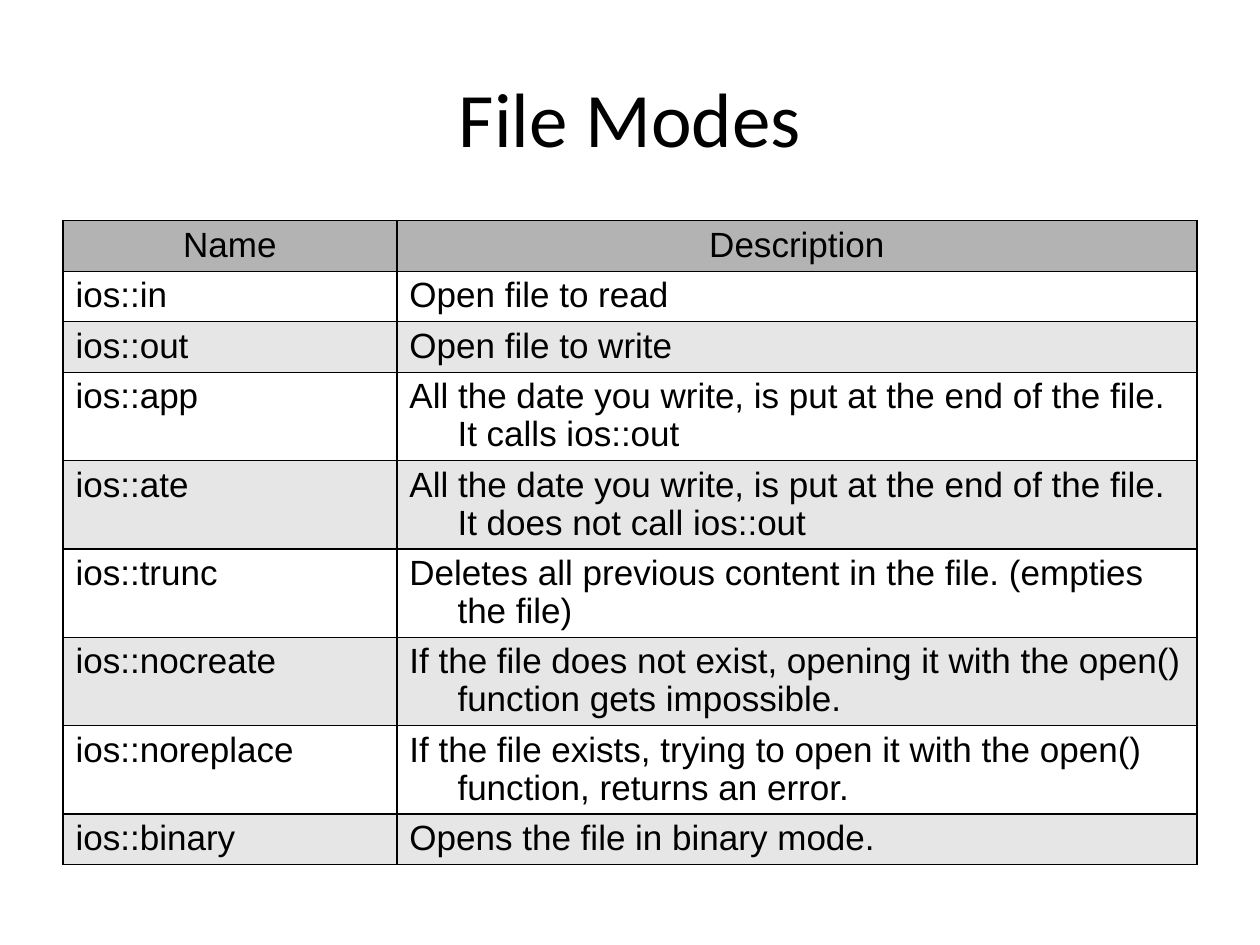
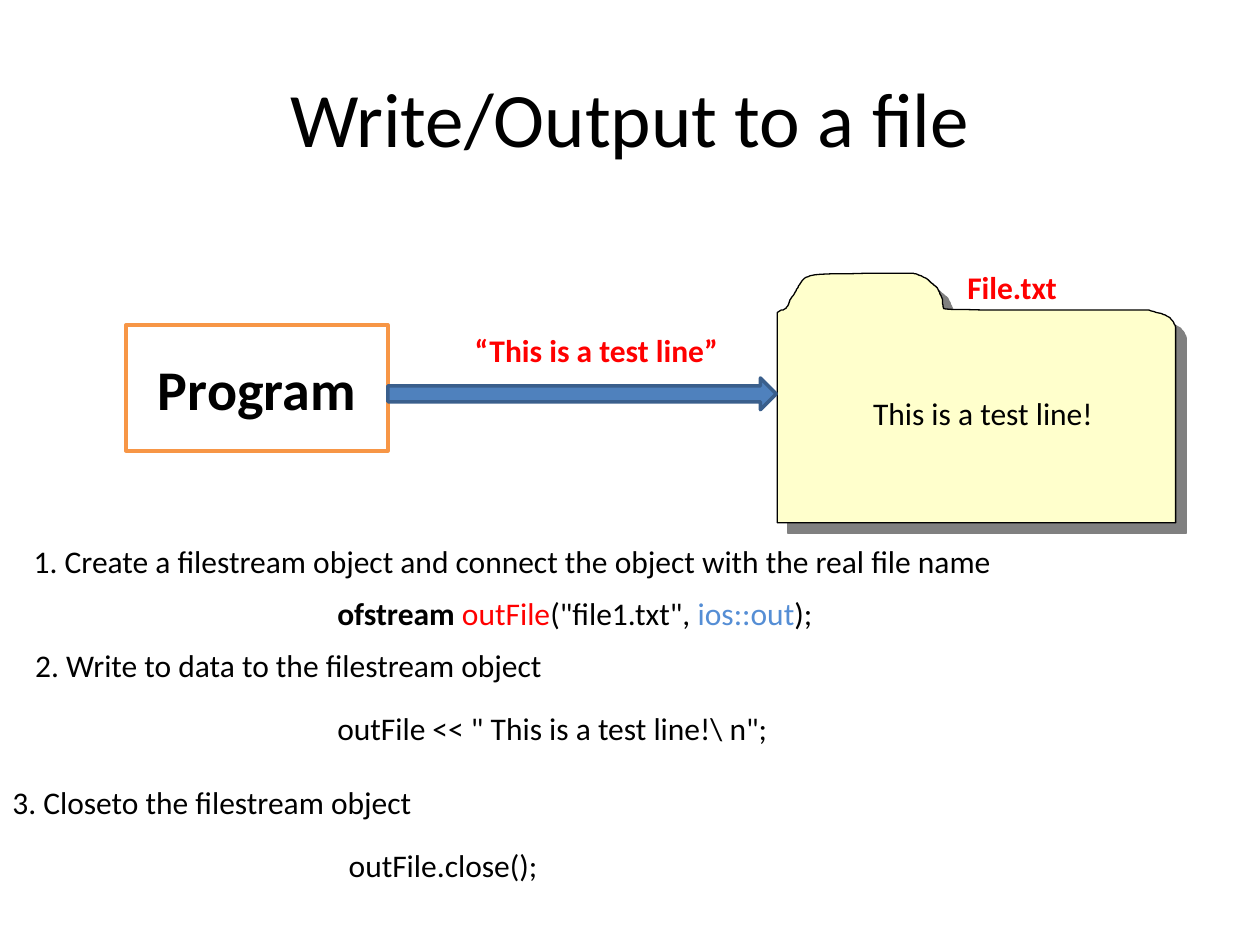
import dataclasses
import itertools

import lxml.etree
import pptx
import pptx.dml.color
import pptx.enum.shapes
import pptx.enum.text
import pptx.oxml.ns
import pptx.util

Cm = pptx.util.Cm
Pt = pptx.util.Pt
Align = pptx.enum.text.PP_ALIGN
Anchor = pptx.enum.text.MSO_ANCHOR
Preset = pptx.enum.shapes.MSO_SHAPE


@dataclasses.dataclass(frozen=True)
class Theme:
    """Colours, fonts and type sizes of the presentation."""
    ink: str = "000000"
    paper: str = "FFFFFF"
    red: str = "FF0000"
    code_blue: str = "558ED5"
    arrow: str = "4F81BD"
    arrow_edge: str = "3A5F8C"
    program_edge: str = "F79646"
    folder: str = "FFFFCC"
    shadow: str = "808080"
    header: str = "B3B3B3"
    band: str = "E6E6E6"
    font: str = "Calibri"
    table_font: str = "Arial"
    title_size: int = 44
    program_size: int = 32
    table_size: int = 20
    text_size: int = 18


@dataclasses.dataclass(frozen=True)
class Box:
    """A rectangle in centimetres."""
    left: float
    top: float
    width: float
    height: float

    def inner(self, left, top, width, height):
        """Return a box placed relative to this one."""
        return Box(self.left + left, self.top + top, width, height)

    def lengths(self):
        """Return left, top, width and height as slide lengths."""
        return [Cm(value) for value in dataclasses.astuple(self)]


THEME = Theme()
TITLE_BOX = Box(1.27, 0.76, 22.86, 3.18)
TABLE_BOX = Box(1.27, 4.45, 22.86, 12.4)
DIAGRAM_BOX = Box(2.54, 5.28, 21.17, 5.26)
STEPS_BOX = Box(0, 10.8, 20.5, 7.16)
LABEL_HEIGHT = 1.02

FILE_MODES = [
    ("Name", "Description"),
    ("ios::in", "Open file to read"),
    ("ios::out", "Open file to write"),
    ("ios::app", "All the date you write, is put at the end of the file. It calls ios::out"),
    ("ios::ate", "All the date you write, is put at the end of the file. It does not call ios::out"),
    ("ios::trunc", "Deletes all previous content in the file. (empties the file)"),
    ("ios::nocreate",
     "If the file does not exist, opening it with the open() function gets impossible."),
    ("ios::noreplace",
     "If the file exists, trying to open it with the open() function, returns an error."),
    ("ios::binary", "Opens the file in binary mode."),
]

STEPS = [
    (0.43, 0, 20.07, [("1. Create a filestream object and connect the object with the real file name",)]),
    (6.55, 1.06, 10.13, [("ofstream ", THEME.ink, True), ("outFile", THEME.red),
                         ('("file1.txt", ',), ("ios::out", THEME.code_blue), (");",)]),
    (0.46, 2.1, 10.85, [("2. Write to data to the filestream object",)]),
    (6.55, 3.37, 9.3, [('outFile << " This is a test line!\\ n";',)]),
    (0, 4.87, 8.66, [("3. Closeto the filestream object",)]),
    (6.78, 6.14, 4.37, [("outFile.close();",)]),
]

FOLDER_TAB = [
    (737, 74), (409, 74), (340, 74), (335, 71), (335, 69), (333, 64), (333, 56),
    (333, 48), (328, 43), (323, 30), (318, 25), (310, 18), (300, 10),
    (287, 3), (274, 0), (274, 0), (274, 0), (84, 0), (76, 3),
    (61, 5), (53, 10), (48, 18), (43, 25), (41, 30), (36, 38),
    (30, 48), (25, 53), (25, 56), (23, 61), (23, 64), (18, 69),
    (18, 71), (13, 74), (8, 74),
]
FOLDER_BODY = [(0, 79), (0, 503), (803, 503)]
FOLDER_CORNER = [(803, 109), (800, 99), (795, 91), (785, 86), (777, 81), (762, 79), (749, 74)]


def rgb(value):
    """Turn a hex string into a colour."""
    return pptx.dml.color.RGBColor.from_string(value)


def add_run(paragraph, text, color=THEME.ink, bold=False, size=THEME.text_size, font=THEME.font):
    """Add one formatted run to a paragraph."""
    run = paragraph.add_run()
    run.text = text
    run.font.name = font
    run.font.size = Pt(size)
    run.font.bold = bold
    run.font.color.rgb = rgb(color)


def paint(shape, fill, line, width):
    """Give a shape a plain fill and outline without a shadow."""
    shape.shadow.inherit = False
    shape.fill.solid()
    shape.fill.fore_color.rgb = rgb(fill)
    shape.line.color.rgb = rgb(line)
    shape.line.width = Pt(width)


def add_child(parent, tag, **attributes):
    """Append a DrawingML element."""
    values = {name: str(value) for name, value in attributes.items()}
    return lxml.etree.SubElement(parent, pptx.oxml.ns.qn(tag), values)


def add_titled_slide(presentation, text):
    """Add a slide with a centred title."""
    slide = presentation.slides.add_slide(presentation.slide_layouts[5])
    title = slide.shapes.title
    title.left, title.top, title.width, title.height = TITLE_BOX.lengths()
    title.text_frame.vertical_anchor = Anchor.MIDDLE
    paragraph = title.text_frame.paragraphs[0]
    paragraph.alignment = Align.CENTER
    add_run(paragraph, text, size=THEME.title_size)
    return slide


def add_label(slide, box, runs):
    """Add one unwrapped line of text made of runs."""
    frame = slide.shapes.add_textbox(*box.lengths()).text_frame
    frame.word_wrap = False
    frame.auto_size = pptx.enum.text.MSO_AUTO_SIZE.SHAPE_TO_FIT_TEXT
    for run in runs:
        add_run(frame.paragraphs[0], *run)


def format_cell(cell, text, fill, alignment):
    """Write a cell with a hanging indent, black borders and a fill."""
    properties = cell._tc.get_or_add_tcPr()
    for side in "LRTB":
        border = add_child(properties, "a:ln" + side, w=Pt(1))
        add_child(add_child(border, "a:solidFill"), "a:srgbClr", val=THEME.ink)
    if fill:
        cell.fill.solid()
        cell.fill.fore_color.rgb = rgb(fill)
    else:
        cell.fill.background()
    paragraph = cell.text_frame.paragraphs[0]
    paragraph.alignment = alignment
    paragraph.line_spacing = 0.97
    indent = Cm(0.97)
    paragraph_properties = paragraph._p.get_or_add_pPr()
    paragraph_properties.set("marL", str(indent))
    paragraph_properties.set("indent", str(-indent))
    add_run(paragraph, text, size=THEME.table_size, font=THEME.table_font)


def add_modes_table(slide, box, rows):
    """Add the banded table of file modes."""
    table = slide.shapes.add_table(len(rows), 2, *box.lengths()).table
    table.first_row = table.horz_banding = False
    name_width = 6.73
    table.columns[0].width = Cm(name_width)
    table.columns[1].width = Cm(box.width - name_width)
    for index, texts in enumerate(rows):
        table.rows[index].height = Cm(1.68 if len(texts[1]) > 50 else 1)
        band = None if index % 2 else THEME.band
        fill = band if index else THEME.header
        alignment = Align.LEFT if index else Align.CENTER
        for column, text in enumerate(texts):
            format_cell(table.cell(index, column), text, fill, alignment)


def curve_points(anchors, steps=8):
    """Sample a chain of cubic curves as points."""
    points = [anchors[0]]
    for start in range(0, len(anchors) - 1, 3):
        for step in range(1, steps + 1):
            t = step / steps
            weights = ((1 - t) ** 3, 3 * t * (1 - t) ** 2, 3 * t ** 2 * (1 - t), t ** 3)
            corners = anchors[start:start + 4]
            points.append(tuple(sum(weight * corner[axis] for weight, corner in zip(weights, corners))
                                for axis in (0, 1)))
    return points


def add_folder(slide, box):
    """Add the folder outline with its hard shadow."""
    points = list(itertools.chain(curve_points(FOLDER_TAB), FOLDER_BODY, curve_points(FOLDER_CORNER)))
    builder = slide.shapes.build_freeform(*points[0], scale=Cm(0.01))
    builder.add_line_segments(points[1:], close=True)
    folder = builder.convert_to_shape(Cm(box.left), Cm(box.top))
    paint(folder, THEME.folder, THEME.ink, 0.75)
    effects = folder._element.spPr.find(pptx.oxml.ns.qn("a:effectLst"))
    shadow = add_child(effects, "a:outerShdw", blurRad=0, dist=Pt(8.5), dir=45 * 60000,
                       algn="ctr", rotWithShape=0)
    add_child(shadow, "a:srgbClr", val=THEME.shadow)


def add_diagram(slide, box):
    """Draw the program writing a line into the file."""
    program = slide.shapes.add_shape(Preset.RECTANGLE, *box.inner(0, 1.27, 5.28, 2.54).lengths())
    paint(program, THEME.paper, THEME.program_edge, 2)
    program.text_frame.vertical_anchor = Anchor.MIDDLE
    paragraph = program.text_frame.paragraphs[0]
    paragraph.alignment = Align.CENTER
    add_run(paragraph, "Program", bold=True, size=THEME.program_size)
    add_folder(slide, box.inner(13.13, 0.23, 8.04, 5.03))
    arrow = slide.shapes.add_shape(Preset.RIGHT_ARROW, *box.inner(5.28, 2.34, 7.83, 0.64).lengths())
    paint(arrow, THEME.arrow, THEME.arrow_edge, 2)
    add_label(slide, box.inner(16.71, 0, 2.34, LABEL_HEIGHT), [("File.txt", THEME.red, True)])
    add_label(slide, box.inner(6.78, 1.27, 5.46, LABEL_HEIGHT),
              [("“This is a test line”", THEME.red, True)])
    add_label(slide, box.inner(14.81, 2.54, 5, LABEL_HEIGHT), [("This is a test line!",)])


def add_steps(slide, box, steps):
    """Add the numbered steps and their lines of code."""
    for left, top, width, runs in steps:
        add_label(slide, box.inner(left, top, width, LABEL_HEIGHT), runs)


def main():
    """Build and save the presentation."""
    presentation = pptx.Presentation()
    presentation.slide_width = Cm(25.4)
    presentation.slide_height = Cm(19.05)
    modes_slide = add_titled_slide(presentation, "File Modes")
    add_modes_table(modes_slide, TABLE_BOX, FILE_MODES)
    output_slide = add_titled_slide(presentation, "Write/Output to a file")
    add_diagram(output_slide, DIAGRAM_BOX)
    add_steps(output_slide, STEPS_BOX, STEPS)
    presentation.save("out.pptx")


main()
